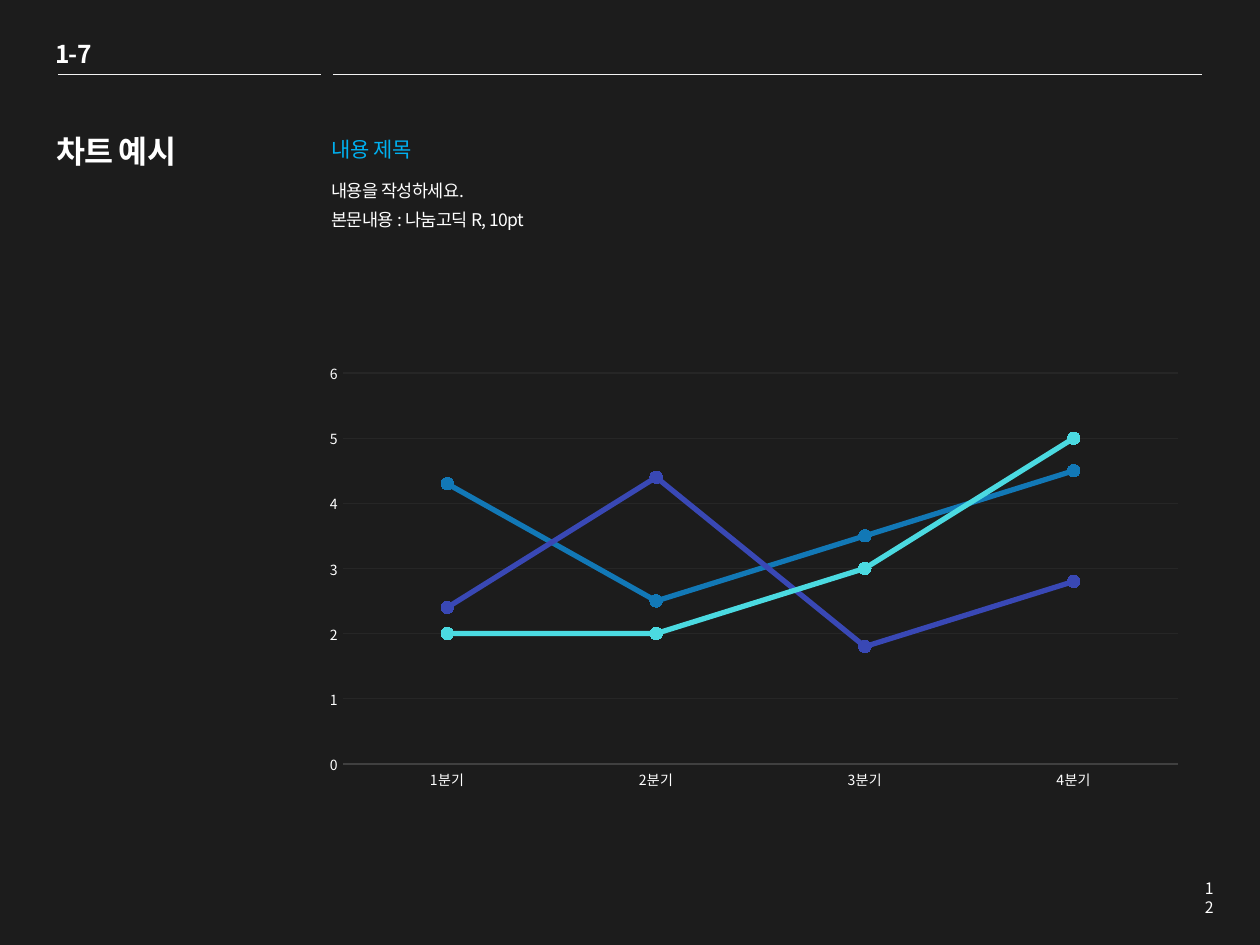
"""Build a dark slide with a heading, body text and a three-series line chart."""
from dataclasses import dataclass

from pptx import Presentation
from pptx.chart.data import CategoryChartData
from pptx.dml.color import RGBColor
from pptx.enum.chart import XL_CHART_TYPE as ChartType, XL_MARKER_STYLE as Marker
from pptx.enum.chart import XL_TICK_MARK as Tick
from pptx.enum.shapes import MSO_CONNECTOR as Connector
from pptx.enum.text import MSO_ANCHOR as Anchor, MSO_AUTO_SIZE as AutoSize, PP_ALIGN as Align
from pptx.oxml.ns import qn
from pptx.oxml.xmlchemy import OxmlElement
from pptx.util import Emu, Pt

EMU_PER_PIXEL = 914400 / 126
FONT = "Noto Sans CJK KR"
COLORS = {
    "background": "1C1C1C", "text": "FFFFFF", "accent": "00B0F0", "rule": "F2F2F2",
    "axis": "404040", "grid": "262626",
    "blue": "1278B6", "indigo": "3948B5", "cyan": "4BDAE1",
}


@dataclass
class Label:
    lines: tuple[str, ...]
    frame: tuple[int, int, int, int]
    size: int
    color: str = "text"
    bold: bool = False
    tracking: int = 0
    spacing: float = 1.0
    align: Align = Align.LEFT
    wrap: bool = True


@dataclass
class Series:
    name: str
    values: tuple[float, ...]
    color: str


TITLE = Label(("차트 예시",), (44, 126, 218, 203), 18, bold=True, tracking=-50)
LABELS = (
    Label(("1-7",), (43, 33, 62, 43), 14, bold=True, tracking=-50, wrap=False),
    Label(("내용 제목",), (319, 130, 670, 38), 12, "accent", tracking=-20),
    Label(("내용을 작성하세요.", "본문내용 : 나눔고딕 R, 10pt"),
          (319, 165, 770, 72), 10, tracking=-30, spacing=1.4),
    Label(("12",), (1191, 873, 35, 32), 9, align=Align.RIGHT),
)
RULES = ((58, 321), (333, 1202))
RULE_TOP = 74
CHART_FRAME = (312, 284, 883, 515)
PLOT_FRAME = (343, 373, 835, 391)
QUARTERS = tuple(f"{number}분기" for number in range(1, 5))
SERIES = (
    Series("내용", (4.3, 2.5, 3.5, 4.5), "blue"),
    Series("내용2", (2.4, 4.4, 1.8, 2.8), "indigo"),
    Series("내용3", (2, 2, 3, 5), "cyan"),
)


def px(value: float) -> Emu:
    return Emu(round(value * EMU_PER_PIXEL))


def rgb(name: str) -> RGBColor:
    return RGBColor.from_string(COLORS[name])


def style_line(line, color: str, width: float) -> None:
    line.color.rgb = rgb(color)
    line.width = Pt(width)


def style_font(font, size: int, color: str) -> None:
    font.size = Pt(size)
    font.color.rgb = rgb(color)
    font.name = FONT


def add_east_asian_font(element) -> None:
    for latin in list(element.iter(qn("a:latin"))):
        east_asian = OxmlElement("a:ea")
        east_asian.set("typeface", FONT)
        latin.addnext(east_asian)


def write_label(box, label: Label) -> None:
    box.left, box.top, box.width, box.height = map(px, label.frame)
    frame = box.text_frame
    frame.auto_size = AutoSize.NONE
    frame.word_wrap = label.wrap
    frame.vertical_anchor = Anchor.TOP
    for index, line in enumerate(label.lines):
        para = frame.add_paragraph() if index else frame.paragraphs[0]
        para.alignment = label.align
        para.line_spacing = label.spacing
        span = para.add_run()
        span.text = line
        style_font(span.font, label.size, label.color)
        span.font.bold = label.bold
        span.font._element.set("spc", str(label.tracking))
    add_east_asian_font(box.element)


def add_rule(page, start: int, end: int) -> None:
    rule = page.shapes.add_connector(
        Connector.STRAIGHT, px(start), px(RULE_TOP), px(end), px(RULE_TOP))
    style_line(rule.line, "rule", 0.25)
    rule.element.spPr.append(OxmlElement("a:effectLst"))


def place_plot(chart) -> None:
    left, top, width, height = CHART_FRAME
    plot_left, plot_top, plot_width, plot_height = PLOT_FRAME
    settings = {
        "layoutTarget": "inner", "xMode": "edge", "yMode": "edge",
        "x": round((plot_left - left) / width, 3),
        "y": round((plot_top - top) / height, 3),
        "w": round(plot_width / width, 3),
        "h": round(plot_height / height, 3),
    }
    plot_area = chart.element.find(".//" + qn("c:plotArea"))
    for old in plot_area.findall(qn("c:layout")):
        plot_area.remove(old)
    layout, manual = OxmlElement("c:layout"), OxmlElement("c:manualLayout")
    for tag, value in settings.items():
        item = OxmlElement(f"c:{tag}")
        item.set("val", str(value))
        manual.append(item)
    layout.append(manual)
    plot_area.insert(0, layout)


def add_line_chart(page) -> None:
    data = CategoryChartData()
    data.categories = QUARTERS
    for entry in SERIES:
        data.add_series(entry.name, entry.values)
    chart = page.shapes.add_chart(
        ChartType.LINE_MARKERS, *map(px, CHART_FRAME), data).chart
    chart.has_title = False
    chart.has_legend = False
    style_font(chart.font, 8, "text")
    for axis, tick in ((chart.category_axis, Tick.NONE), (chart.value_axis, Tick.INSIDE)):
        axis.major_tick_mark = tick
        axis.minor_tick_mark = Tick.NONE
        style_font(axis.tick_labels.font, 8, "text")
    style_line(chart.category_axis.format.line, "axis", 1.25)
    values = chart.value_axis
    values.minimum_scale, values.maximum_scale, values.major_unit = 0, 6, 1
    values.format.line.fill.background()
    values.has_major_gridlines = True
    style_line(values.major_gridlines.format.line, "grid", 0.75)
    chart.plots[0].vary_by_categories = False
    for series, entry in zip(chart.plots[0].series, SERIES):
        series.smooth = False
        style_line(series.format.line, entry.color, 3)
        series.marker.style = Marker.CIRCLE
        series.marker.size = 7
        series.marker.format.fill.solid()
        series.marker.format.fill.fore_color.rgb = rgb(entry.color)
        style_line(series.marker.format.line, entry.color, 0.75)
    place_plot(chart)
    add_east_asian_font(chart.element)


def main() -> None:
    deck = Presentation()
    deck.slide_width, deck.slide_height = px(1260), px(945)
    page = deck.slides.add_slide(deck.slide_layouts[5])
    page.background.fill.solid()
    page.background.fill.fore_color.rgb = rgb("background")
    add_line_chart(page)
    for start, end in RULES:
        add_rule(page, start, end)
    for label in LABELS:
        write_label(page.shapes.add_textbox(*map(px, label.frame)), label)
    write_label(page.shapes.title, TITLE)
    deck.save("out.pptx")


main()
